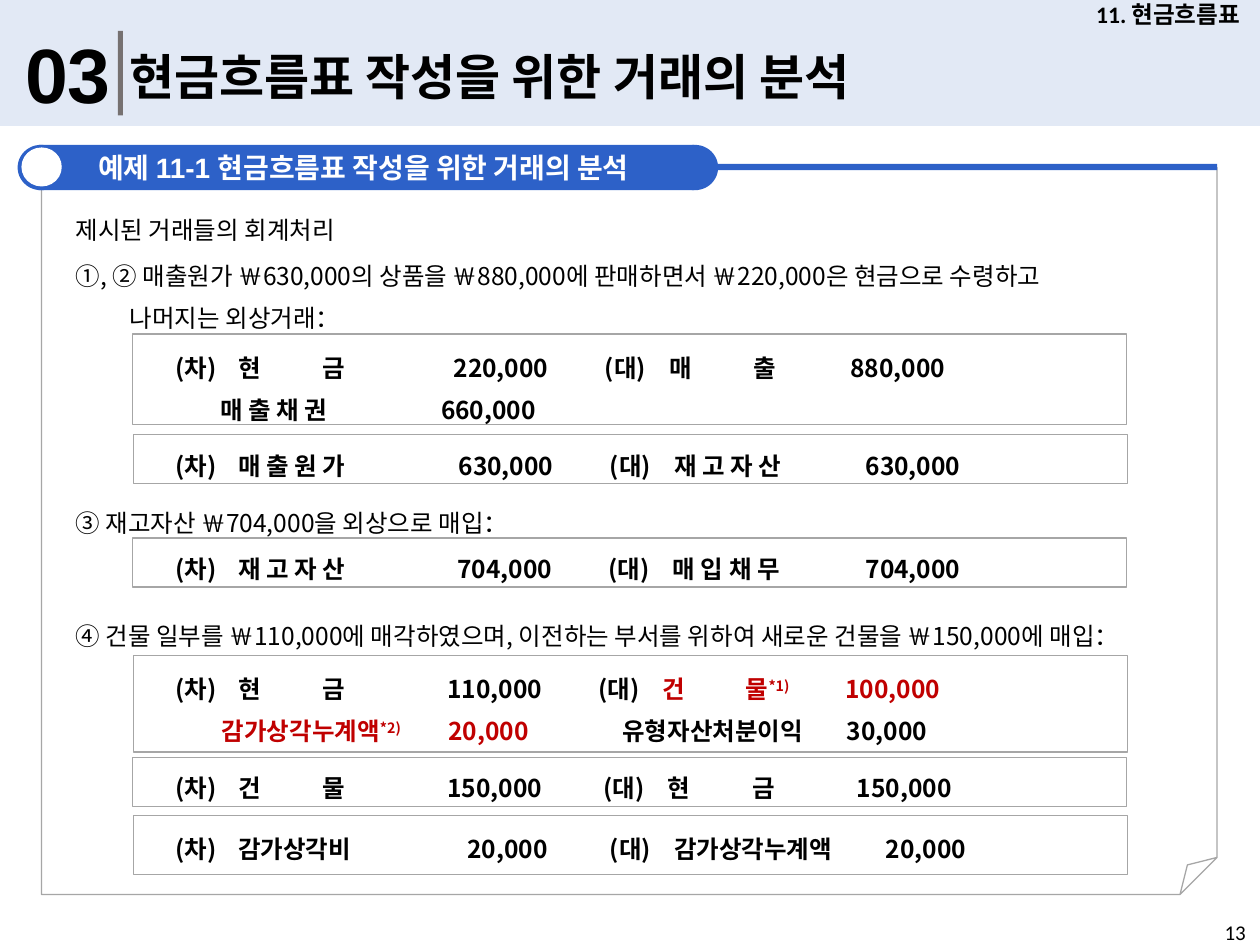
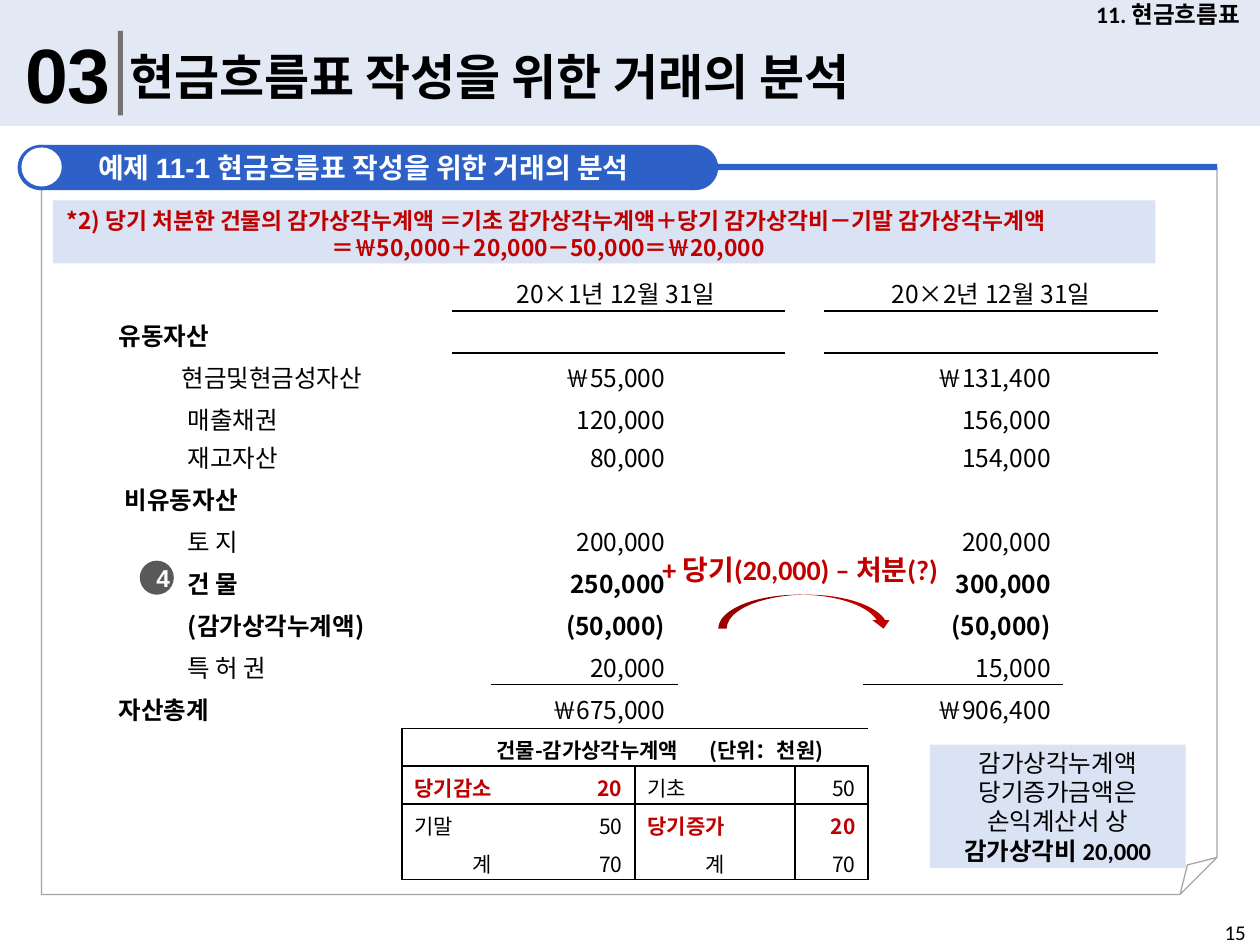
from dataclasses import dataclass

from lxml.etree import SubElement
from pptx import Presentation
from pptx.dml.color import RGBColor
from pptx.enum.shapes import MSO_SHAPE
from pptx.enum.text import MSO_ANCHOR, PP_ALIGN
from pptx.oxml import parse_xml
from pptx.oxml.ns import nsdecls, qn
from pptx.util import Inches, Pt


@dataclass(frozen=True)
class Theme:
    black: str = "000000"
    white: str = "FFFFFF"
    blue: str = "2D61C8"
    pale: str = "DAE3F3"
    gray: str = "A6A6A6"
    bar: str = "767171"
    badge: str = "595959"
    red: str = "C00000"
    head: str = "Calibri"
    latin: str = "Arial"
    korean: str = "Noto Sans CJK KR"
    number_size: float = 44
    title_size: float = 28
    label_size: float = 16
    body_size: float = 14
    chapter_size: float = 13.5
    note_size: float = 13
    small_size: float = 12
    no_grid: str = "{2D5ABB26-0587-4C30-8999-92F81FD0307C}"


@dataclass(frozen=True)
class Piece:
    """A run of text; x is the slide position of its tab stop in inches."""
    text: str
    x: float = None
    color: str = None
    font: str = None
    bold: bool = None
    raised: bool = False


THEME = Theme()
LEFT, CENTER, RIGHT = PP_ALIGN.LEFT, PP_ALIGN.CENTER, PP_ALIGN.RIGHT
TOP, MIDDLE = MSO_ANCHOR.TOP, MSO_ANCHOR.MIDDLE
WIDE_INSET = 0.11


def write(frame, paragraphs, size=THEME.body_size, font=THEME.korean, color=THEME.black,
          bold=False, align=LEFT, spacing=None, indent=0, origin=0):
    """Fill a text frame; each paragraph is a string or a list of pieces."""
    for number, pieces in enumerate(paragraphs):
        para = frame.paragraphs[0] if number == 0 else frame.add_paragraph()
        para.alignment = align
        pieces = [Piece(pieces)] if isinstance(pieces, str) else pieces
        properties = para._p.get_or_add_pPr()
        if indent:
            properties.set("marL", str(Inches(indent)))
            properties.set("indent", "0")
        stops = [piece.x for piece in pieces if piece.x is not None]
        if stops:
            tab_list = SubElement(properties, qn("a:tabLst"))
            for x in stops:
                SubElement(tab_list, qn("a:tab"), pos=str(Inches(x - origin)), algn="l")
        if spacing:
            para.line_spacing = Pt(spacing)
        for piece in pieces:
            span = para.add_run()
            span.text = piece.text if piece.x is None else "\t" + piece.text
            span.font.size = Pt(size)
            span.font.bold = bold if piece.bold is None else piece.bold
            span.font.color.rgb = RGBColor.from_string(piece.color or color)
            span.font.name = piece.font or font
            run_properties = span._r.get_or_add_rPr()
            SubElement(run_properties, qn("a:ea"), typeface=THEME.korean)
            if piece.raised:
                run_properties.set("baseline", "30000")


def border(cell, *sides):
    """Draw 1 pt black lines on the sides, named L, R, T and B."""
    properties = cell._tc.get_or_add_tcPr()
    for place, side in enumerate(side for side in "LRTB" if side in sides):
        properties.insert(place, parse_xml(
            f'<a:ln{side} {nsdecls("a")} w="12700"><a:solidFill>'
            f'<a:srgbClr val="{THEME.black}"/></a:solidFill></a:ln{side}>'))


def account(name, x):
    """Place an account name; a bar in it marks spread syllables."""
    return [Piece(part, round(x + 0.67 * place, 2)) for place, part in enumerate(name.split("|"))]


def entry(debit, debit_amount, debit_x, credit, credit_amount, credit_x, mark_x):
    """One journal line: debit and credit with their amounts."""
    return [Piece("(차)", 1.39), *account(debit, 1.89), Piece(debit_amount, debit_x),
            Piece("(대)", mark_x), *account(credit, mark_x + 0.51), Piece(credit_amount, credit_x)]


class Builder:
    def __init__(self):
        self.deck = Presentation()
        self.deck.slide_width, self.deck.slide_height = Inches(10), Inches(7.5)
        self.page = None

    def shape(self, kind, at, fill=None, line=None):
        box = self.page.shapes.add_shape(kind, *map(Inches, at))
        box.shadow.inherit = False
        if fill:
            box.fill.solid()
            box.fill.fore_color.rgb = RGBColor.from_string(fill)
        else:
            box.fill.background()
        if line:
            box.line.color.rgb = RGBColor.from_string(line)
            box.line.width = Pt(0.75)
        else:
            box.line.fill.background()
        return box

    def rect(self, at, fill=None, line=None):
        return self.shape(MSO_SHAPE.RECTANGLE, at, fill, line)

    def fill_text(self, box, paragraphs, anchor=TOP, inset=0.1, **style):
        frame = box.text_frame
        frame.word_wrap = True
        frame.vertical_anchor = anchor
        frame.margin_left = frame.margin_right = Inches(inset)
        frame.margin_top = frame.margin_bottom = Inches(0.05)
        write(frame, paragraphs, origin=box.left / Inches(1) + inset, **style)

    def text(self, at, *paragraphs, **style):
        self.fill_text(self.page.shapes.add_textbox(*map(Inches, at)), paragraphs, **style)

    def explanation(self, top, height, *paragraphs, width=8.5):
        self.text((0.49, top, width, height), *paragraphs, inset=WIDE_INSET, spacing=24)

    def journal(self, left, top, height, *lines, anchor=MIDDLE):
        box = self.rect((left, top, 7.89, height), THEME.white, THEME.gray)
        self.fill_text(box, lines, anchor, WIDE_INSET, bold=True, spacing=24)

    def table(self, left, top, widths, row_height, row_count, size):
        holder = self.page.shapes.add_table(row_count, len(widths), Inches(left), Inches(top),
                                            Inches(sum(widths)), Inches(row_height * row_count))
        grid = holder.table
        grid.first_row = grid.horz_banding = False
        grid._tbl.tblPr.find(qn("a:tableStyleId")).text = THEME.no_grid
        for column, width in zip(grid.columns, widths):
            column.width = Inches(width)
        for row in grid.rows:
            row.height = Inches(row_height)
            for cell in row.cells:
                cell.fill.background()
                cell.margin_left = cell.margin_right = Inches(0.1)
                cell.margin_top = cell.margin_bottom = Inches(0.05)
                end = SubElement(cell.text_frame.paragraphs[0]._p, qn("a:endParaRPr"))
                end.set("sz", str(size * 100))
        return grid

    def balance_rows(self, grid, first, rows):
        """Asset rows: name, both amounts, indent, bold name, bold amounts."""
        for row, (name, before, after, indent, bold_name, bold_amount) in enumerate(rows, first):
            write(grid.cell(row, 0).text_frame, [name], bold=bold_name, indent=indent)
            for column, amount in ((3, before), (7, after)):
                if amount:
                    write(grid.cell(row, column).text_frame, [amount],
                          bold=bold_amount, align=RIGHT)

    def start(self, page_number):
        """New slide with the title band, example label and page frame."""
        self.page = self.deck.slides.add_slide(self.deck.slide_layouts[6])
        # Title band
        band = self.rect((0, 0, 10, 1), THEME.pale)
        color = band._element.spPr.find(qn("a:solidFill"))[0]
        SubElement(color, qn("a:alpha"), val="76000")
        self.text((0.1, 0.16, 0.91, 0.84), "03", size=THEME.number_size,
                  font=THEME.latin, bold=True)
        self.rect((0.62, 0.56, 0.67, 0.04), THEME.bar).rotation = 270
        self.text((0.93, 0.32, 7.85, 0.57), "현금흐름표 작성을 위한 거래의 분석",
                  size=THEME.title_size, font=THEME.head, bold=True)
        self.text((8.54, 0, 1.46, 0.23), "11. 현금흐름표", size=THEME.chapter_size,
                  font=THEME.head, bold=True, align=CENTER, anchor=MIDDLE)
        # Page frame and example label
        sheet = self.shape(MSO_SHAPE.FOLDED_CORNER, (0.33, 1.33, 9.33, 5.77), line=THEME.gray)
        guides = sheet._element.spPr.find(qn("a:prstGeom")).get_or_add_avLst()
        SubElement(guides, qn("a:gd"), name="adj", fmla="val 5100")
        self.rect((0.33, 1.3, 9.33, 0.05), THEME.blue)
        for left in (0.14, 5.33):
            self.shape(MSO_SHAPE.OVAL, (left, 1.15, 0.37, 0.36), THEME.blue)
        label = self.rect((0.31, 1.15, 5.2, 0.36), THEME.blue)
        self.fill_text(label, [[Piece("예제 "), Piece("11-1 현금흐름표 작성을 위한 거래의 분석 ",
                                                   font=THEME.latin)]],
                       MIDDLE, size=THEME.label_size, font=THEME.head,
                       color=THEME.white, bold=True, align=CENTER)
        self.shape(MSO_SHAPE.OVAL, (0.17, 1.17, 0.32, 0.31), THEME.white)
        # Page number
        self.text((9.62, 7.25, 2.25, 0.4), page_number, size=THEME.small_size, font=THEME.head)


def build_journal_slide(builder):
    builder.start("13")
    # Sale on cash and credit
    builder.explanation(1.56, 0.39, "제시된 거래들의 회계처리")
    builder.explanation(
        1.92, 0.63,
        "①, ② 매출원가 ￦630,000의 상품을 ￦880,000에 판매하면서 ￦220,000은 현금으로 수령하고",
        [Piece("나머지는 외상거래：", 1.03)])
    builder.journal(1.05, 2.65, 0.72,
                    entry("현|금", "220,000", 3.6, "매|출", "880,000", 6.75, 4.8),
                    [Piece("매 출 채 권", 1.75), Piece("660,000", 3.5)], anchor=TOP)
    builder.journal(1.06, 3.45, 0.39,
                    entry("매 출 원 가", "630,000", 3.64, "재 고 자 산", "630,000", 6.87, 4.84))
    # Purchase on credit
    builder.explanation(3.88, 0.39, "③ 재고자산 ￦704,000을 외상으로 매입：")
    builder.journal(1.05, 4.27, 0.39,
                    entry("재 고 자 산", "704,000", 3.63, "매 입 채 무", "704,000", 6.87, 4.83))
    # Building sold and bought
    builder.explanation(
        4.78, 0.63,
        "④ 건물 일부를 ￦110,000에 매각하였으며, 이전하는 부서를 위하여 새로운 건물을 ￦150,000에 매입：",
        width=9.4)
    red = THEME.red
    builder.journal(1.06, 5.2, 0.77,
                    [Piece("(차)", 1.39), *account("현|금", 1.89), Piece("110,000", 3.55),
                     Piece("(대)", 4.75), Piece("건", 5.26, red), Piece("물", 5.92, red),
                     Piece("*1)", color=red, raised=True), Piece("100,000", 6.71, red)],
                    [Piece("감가상각누계액", 1.76, red), Piece("*2)", color=red, raised=True),
                     Piece("20,000", 3.56, red), Piece("유형자산처분이익", 4.94),
                     Piece("30,000", 6.72)], anchor=TOP)
    builder.journal(1.05, 6.01, 0.39,
                    entry("건|물", "150,000", 3.55, "현|금", "150,000", 6.8, 4.79))
    builder.journal(1.06, 6.47, 0.47,
                    entry("감가상각비", "20,000", 3.71, "감가상각누계액", "20,000", 7.03, 4.84),
                    anchor=TOP)


def build_balance_slide(builder):
    builder.start("15")
    # Balance sheet, current assets
    widths = (2.44, 0.31, 0.31, 1.48, 0.85, 0.31, 0.31, 1.59, 0.75)
    row_height = 1 / 3
    current = builder.table(0.84, 1.8, widths, row_height, 5, THEME.body_size)
    current.cell(0, 0).merge(current.cell(0, 8))
    for column, date in ((2, "20×1년 12월 31일 "), (6, "20×2년 12월 31일")):
        for offset in range(3):
            border(current.cell(1, column + offset), "B")
            border(current.cell(2, column + offset), "T")
        current.cell(1, column).merge(current.cell(1, column + 2))
        write(current.cell(1, column).text_frame, [date], align=CENTER)
    builder.balance_rows(current, 2, [
        ("유동자산", "", "", 0, True, False),
        ("현금및현금성자산", "￦55,000", "￦131,400", 0.5, False, False),
        ("매출채권", "120,000", "156,000", 0.55, False, False)])
    # Balance sheet, remaining assets
    other = builder.table(0.84, 3.43, widths, row_height, 7, THEME.body_size)
    builder.balance_rows(other, 0, [
        ("재고자산", "80,000", "154,000", 0.55, False, False),
        ("비유동자산", "", "", 0.05, True, False),
        ("토 지", "200,000", "200,000", 0.55, False, False),
        ("건 물", "250,000", "300,000", 0.55, True, True),
        ("(감가상각누계액)", "(50,000)", "(50,000)", 0.55, True, True),
        ("특 허 권", "20,000", "15,000", 0.55, False, False),
        ("자산총계", "￦675,000", "￦906,400", 0, True, False)])
    for column in (3, 7):
        border(other.cell(5, column), "B")
        border(other.cell(6, column), "T")
    # Change in accumulated depreciation
    badge = builder.shape(MSO_SHAPE.OVAL, (1.11, 4.45, 0.27, 0.27), THEME.badge)
    builder.fill_text(badge, ["4"], MIDDLE, font=THEME.latin, color=THEME.white,
                      bold=True, align=CENTER)
    builder.text((5.16, 4.34, 2.46, 0.37), "+ 당기(20,000) – 처분(?)", size=THEME.label_size,
                 font=THEME.head, color=THEME.red, bold=True)
    builder.shape(MSO_SHAPE.CURVED_DOWN_ARROW, (5.7, 4.72, 1.38, 0.27), THEME.red)
    # Ledger account
    ledger = builder.table(3.19, 5.78, (1.27, 0.58, 1.27, 0.58), 0.3, 4, THEME.small_size)
    for column in range(4):
        border(ledger.cell(0, column), "L" if column == 0 else "R" if column == 3 else "", "T", "B")
        for row in (1, 2, 3):
            border(ledger.cell(row, column), "R" if column % 2 else "L",
                   "T" if row == 1 else "B" if row == 3 else "")
    ledger.cell(0, 0).merge(ledger.cell(0, 3))
    ledger.cell(0, 0).vertical_anchor = MIDDLE
    write(ledger.cell(0, 0).text_frame,
          [[Piece("건물-감가상각누계액", 3.94), Piece("(단위：천원)", 5.63)]],
          size=THEME.small_size, bold=True, origin=3.29)
    ledger_rows = (("당기감소", "20", "기초", "50"), ("기말", "50", "당기증가", "20"),
                   ("계", "70", "계", "70"))
    for row, values in enumerate(ledger_rows, 1):
        for column, value in enumerate(values):
            cell = ledger.cell(row, column)
            cell.vertical_anchor = MIDDLE
            marked = values[column - column % 2] in ("당기감소", "당기증가")
            align = RIGHT if column % 2 else CENTER if value == "계" else LEFT
            write(cell.text_frame, [value], size=THEME.small_size, bold=marked, align=align,
                  color=THEME.red if marked else THEME.black)
    # Notes
    formula = builder.rect((0.42, 1.59, 8.75, 0.5), THEME.pale)
    builder.fill_text(
        formula,
        ["*2) 당기 처분한 건물의 감가상각누계액 ＝기초 감가상각누계액＋당기 감가상각비－기말 감가상각누계액",
         [Piece("＝￦50,000＋20,000－50,000＝￦20,000", 2.63)]],
        inset=WIDE_INSET, size=THEME.note_size, color=THEME.red, bold=True)
    remark = builder.rect((7.38, 5.91, 2.03, 0.98), THEME.pale)
    builder.fill_text(remark, [[Piece("감가상각누계액 당기증가금액은 손익계산서 상 "),
                                Piece("감가상각비 20,000", bold=True)]],
                      MIDDLE, font=THEME.head, align=CENTER)


def main():
    builder = Builder()
    build_journal_slide(builder)
    build_balance_slide(builder)
    builder.deck.save("out.pptx")


if __name__ == "__main__":
    main()
